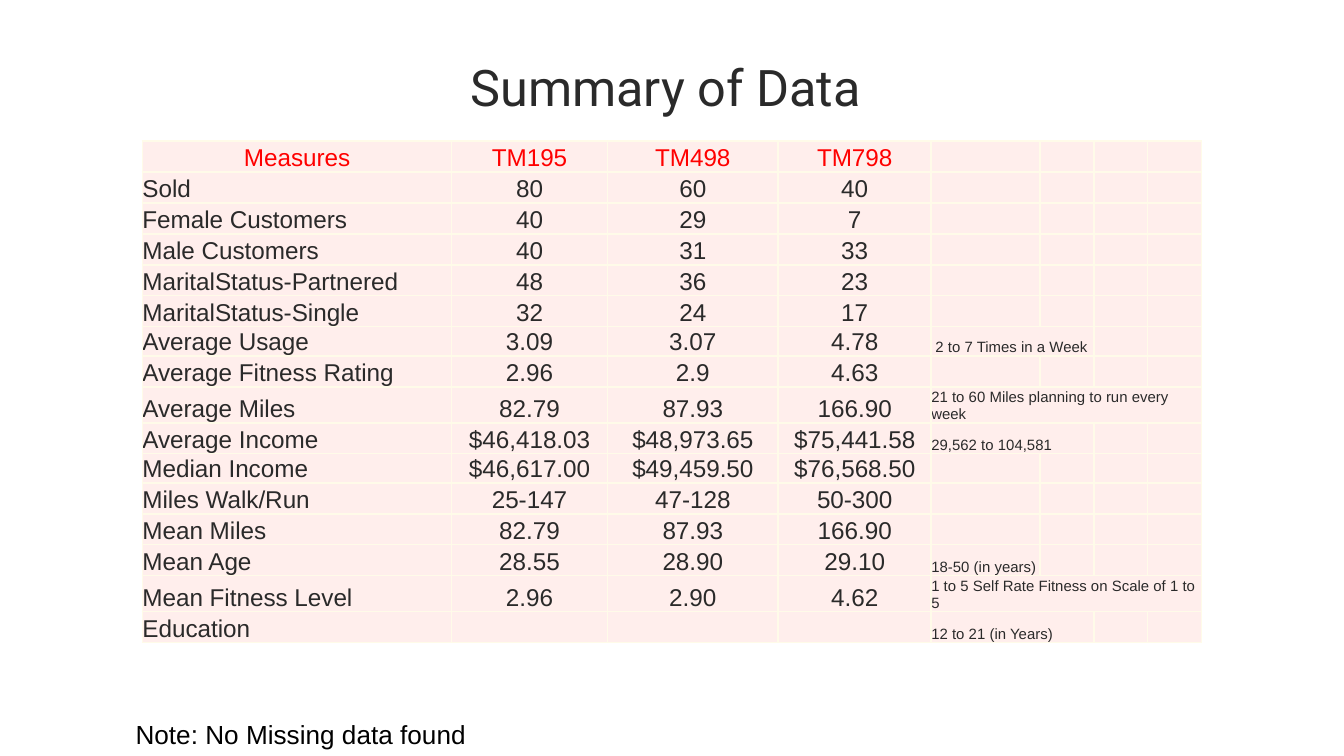
from pptx import Presentation
from pptx.dml.color import RGBColor
from pptx.enum.text import MSO_ANCHOR, PP_ALIGN
from pptx.oxml.xmlchemy import OxmlElement
from pptx.util import Inches, Pt

INK = RGBColor(0x2A, 0x2A, 0x2A)
RED = RGBColor(0xFF, 0x00, 0x00)
BLACK = RGBColor(0x00, 0x00, 0x00)
PINK = RGBColor(0xFF, 0xEE, 0xEC)
CREAM = RGBColor(0xFF, 0xFB, 0xE9)

HEAD = ("Measures", "TM195", "TM498", "TM798")
# Each row: label, three values, note, number of columns the note spans
ROWS = [
    ("Sold", "80", "60", "40", "", 1),
    ("Female Customers", "40", "29", "7", "", 1),
    ("Male Customers", "40", "31", "33", "", 1),
    ("MaritalStatus-Partnered", "48", "36", "23", "", 1),
    ("MaritalStatus-Single", "32", "24", "17", "", 1),
    ("Average Usage", "3.09", "3.07", "4.78", " 2 to 7 Times in a Week", 2),
    ("Average Fitness Rating", "2.96", "2.9", "4.63", "", 1),
    ("Average Miles", "82.79", "87.93", "166.90",
     "21 to 60 Miles planning to run every week", 4),
    ("Average Income", "$46,418.03", "$48,973.65", "$75,441.58",
     "29,562 to 104,581", 2),
    ("Median Income", "$46,617.00", "$49,459.50", "$76,568.50", "", 1),
    ("Miles Walk/Run", "25-147", "47-128", "50-300", "", 1),
    ("Mean Miles", "82.79", "87.93", "166.90", "", 1),
    ("Mean Age", "28.55", "28.90", "29.10", "18-50 (in years)", 1),
    ("Mean Fitness Level", "2.96", "2.90", "4.62",
     "1 to 5 Self Rate Fitness on Scale of 1 to 5", 4),
    ("Education", "", "", "", "12 to 21 (in Years)", 2),
]
WIDTHS = (2.3, 1.16, 1.27, 1.14, 0.81, 0.4, 0.4, 0.4)
HEIGHTS = [0.23] * 6 + [0.22] + [0.23] * 3 + [0.2] + [0.23] * 5
NOTE = 4  # column of the notes


def write(frame, text, size=13, color=INK, font="Arial", align=PP_ALIGN.LEFT):
    para = frame.paragraphs[0]
    para.alignment = align
    if not text:
        # Keeps an empty cell from stretching its row
        end = OxmlElement("a:endParaRPr")
        end.set("sz", str(size * 100))
        para._p.append(end)
        return
    run = para.add_run()
    run.text = text
    run.font.size = Pt(size)
    run.font.name = font
    run.font.color.rgb = color


def style(cell):
    """Set fill, margins and cream borders on all four sides."""
    cell.margin_left = cell.margin_right = 0
    cell.margin_top = cell.margin_bottom = 0
    cell.vertical_anchor = MSO_ANCHOR.BOTTOM
    props = cell._tc.get_or_add_tcPr()
    for side in ("lnL", "lnR", "lnT", "lnB"):
        line = OxmlElement(f"a:{side}")
        line.set("w", str(Pt(1)))
        fill = OxmlElement("a:solidFill")
        tint = OxmlElement("a:srgbClr")
        tint.set("val", str(CREAM))
        fill.append(tint)
        line.append(fill)
        props.append(line)
    cell.fill.solid()
    cell.fill.fore_color.rgb = PINK


deck = Presentation()
deck.slide_width = Inches(10)
deck.slide_height = Inches(10 * 9 / 16)
slide = deck.slides.add_slide(deck.slide_layouts[6])
shapes = slide.shapes

title = shapes.add_textbox(Inches(0.5), Inches(0.45), Inches(9), Inches(0.39)).text_frame
title.word_wrap = True
title.vertical_anchor = MSO_ANCHOR.MIDDLE
title.margin_left = title.margin_right = Inches(0.1)
title.margin_top = title.margin_bottom = Inches(0.1)
write(title, "Summary of Data ", size=27, font="Roboto", align=PP_ALIGN.CENTER)

table = shapes.add_table(len(HEIGHTS), len(WIDTHS), Inches(1.06), Inches(1.05),
                         Inches(sum(WIDTHS)), Inches(sum(HEIGHTS))).table
table.first_row = table.horz_banding = False
for col, width in zip(table.columns, WIDTHS):
    col.width = Inches(width)
for row, height in zip(table.rows, HEIGHTS):
    row.height = Inches(height)

for r, (*texts, note, span) in enumerate([(*HEAD, "", 1)] + ROWS):
    texts += [note] + [""] * (len(WIDTHS) - NOTE - 1)
    for c, text in enumerate(texts):
        cell = table.cell(r, c)
        style(cell)
        centred = 0 < c < NOTE or r == 0
        write(cell.text_frame, text, size=8 if c >= NOTE else 13,
              color=RED if r == 0 else INK,
              align=PP_ALIGN.CENTER if centred else PP_ALIGN.LEFT)
    if span > 1:
        table.cell(r, NOTE).merge(table.cell(r, NOTE + span - 1))

remark = shapes.add_textbox(Inches(0.91), Inches(5.3), Inches(3.61), Inches(0.34)).text_frame
remark.word_wrap = True
write(remark, "Note: No Missing data found", size=14, color=BLACK)

deck.save("out.pptx")
